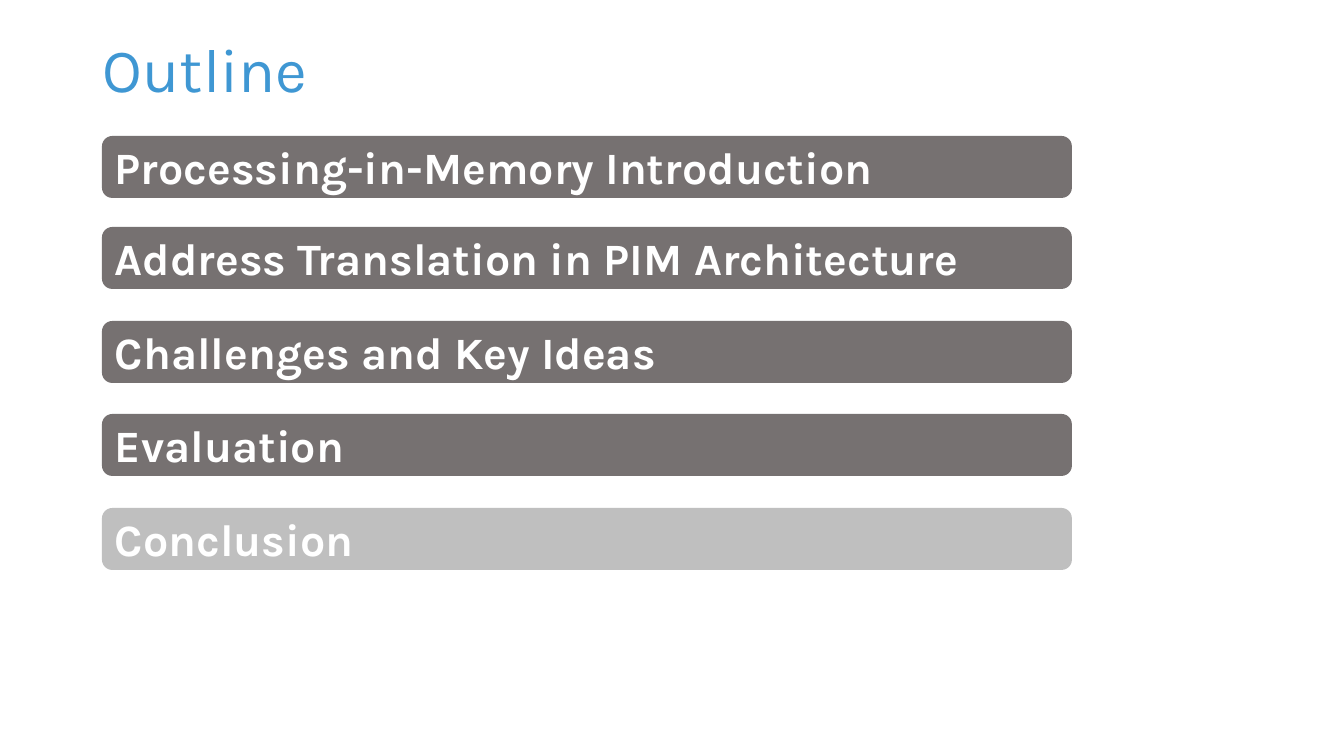
from pptx import Presentation
from pptx.dml.color import RGBColor
from pptx.enum.shapes import MSO_SHAPE
from pptx.enum.text import MSO_ANCHOR, PP_ALIGN
from pptx.util import Emu, Pt

PX = 914400 / 100.8
BLUE = RGBColor(0x3F, 0x97, 0xD3)
DARK_GRAY = RGBColor(0x76, 0x71, 0x71)
LIGHT_GRAY = RGBColor(0xBF, 0xBF, 0xBF)
WHITE = RGBColor(0xFF, 0xFF, 0xFF)

TITLE_FONT = {"name": "Karla", "size": Pt(44), "bold": False}
TOPIC_FONT = {"name": "Karla", "size": Pt(32), "bold": True}
TOPICS = [
    ("Processing-in-Memory Introduction", 0, DARK_GRAY),
    ("Address Translation in PIM Architecture", 91, DARK_GRAY),
    ("Challenges and Key Ideas", 185, DARK_GRAY),
    ("Evaluation", 278, DARK_GRAY),
    ("Conclusion", 372, LIGHT_GRAY),
]
BAR_HEIGHT = 62


def px(length):
    return Emu(round(length * PX))


def write_text(shape, text, font_format, color, line_spacing=1.0):
    frame = shape.text_frame
    frame.word_wrap = True
    frame.vertical_anchor = MSO_ANCHOR.MIDDLE
    paragraph = frame.paragraphs[0]
    paragraph.alignment = PP_ALIGN.LEFT
    paragraph.line_spacing = line_spacing
    run = paragraph.add_run()
    run.text = text
    for attribute, value in font_format.items():
        setattr(run.font, attribute, value)
    run.font.color.rgb = color


def add_title(slide, left, top, width, height):
    title = slide.shapes.add_textbox(px(left), px(top), px(width), px(height))
    write_text(title, "Outline", TITLE_FONT, BLUE, 0.9)


def add_topics(slide, left, top, width):
    for text, offset, fill_color in TOPICS:
        bar = slide.shapes.add_shape(
            MSO_SHAPE.ROUNDED_RECTANGLE,
            px(left), px(top + offset), px(width), px(BAR_HEIGHT),
        )
        bar.shadow.inherit = False
        bar.fill.solid()
        bar.fill.fore_color.rgb = fill_color
        bar.line.fill.background()
        write_text(bar, text, TOPIC_FONT, WHITE)


def main():
    presentation = Presentation()
    presentation.slide_width = px(1344)
    presentation.slide_height = px(756)
    slide = presentation.slides.add_slide(presentation.slide_layouts[6])
    add_title(slide, 93, 0, 1159, 146)
    add_topics(slide, 102, 136, 970)
    presentation.save("out.pptx")


if __name__ == "__main__":
    main()
